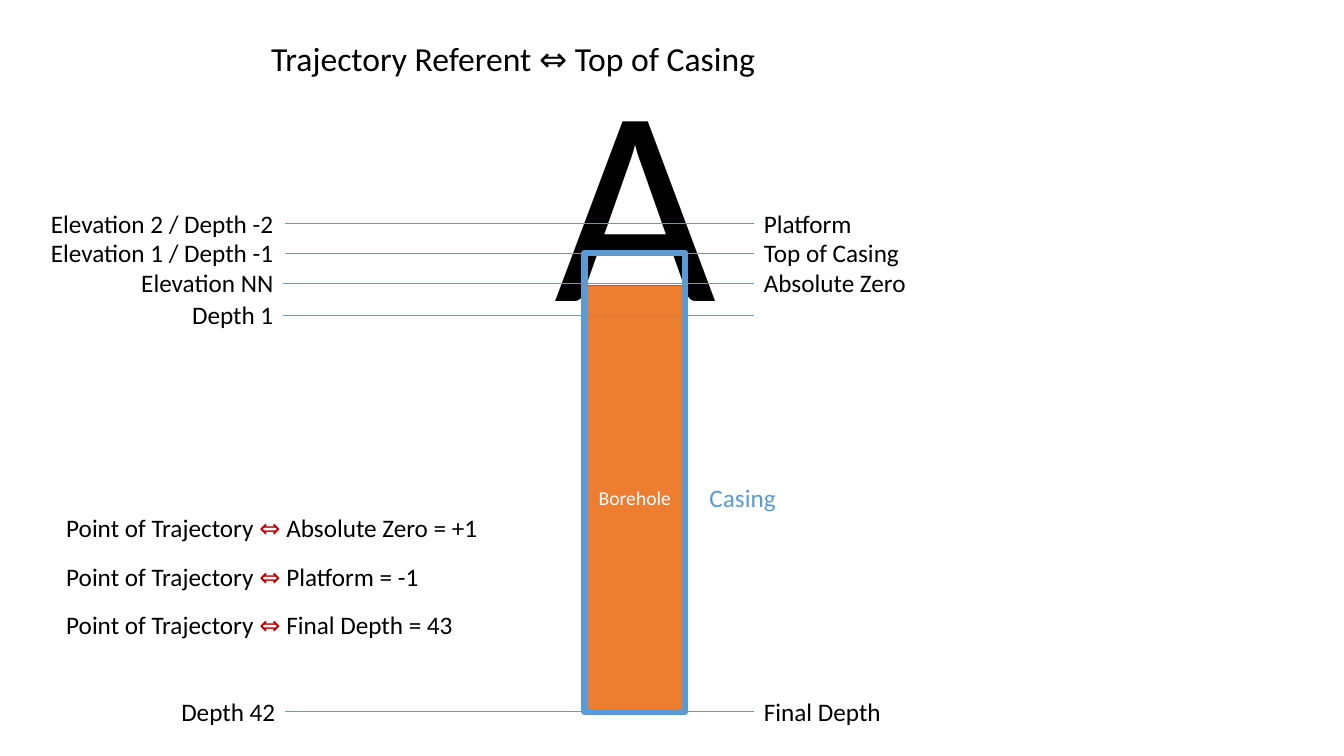
import dataclasses

import pptx
import pptx.dml.color
import pptx.enum.shapes
import pptx.enum.text
import pptx.oxml.ns
import pptx.util
from pptx.util import Cm

ALIGN = pptx.enum.text.PP_ALIGN
ANCHOR = pptx.enum.text.MSO_ANCHOR
RECTANGLE = pptx.enum.shapes.MSO_SHAPE.RECTANGLE
STRAIGHT = pptx.enum.shapes.MSO_CONNECTOR.STRAIGHT


@dataclasses.dataclass(frozen=True)
class Theme:
    """Colours, font and type sizes of the slide."""
    font: str = "Calibri"
    ink: str = "000000"
    white: str = "FFFFFF"
    casing: str = "5B9BD5"
    borehole: str = "ED7D31"
    borehole_edge: str = "AF5C24"
    accent: str = "C00000"
    small: int = 14
    body: int = 18
    title: int = 24
    derrick: int = 200


THEME = Theme()
LEVELS = [
    ("Elevation 2 / Depth -2", 6.2, 7.14, "Platform", 2.77, 7.19, 5.64),
    ("Elevation 1 / Depth -1", 6.2, 7.14, "Top of Casing", 3.96, 7.19, 6.38),
    ("Elevation NN", 3.89, 7.14, "Absolute Zero", 4.11, 7.14, 7.14),
    ("Depth 1", 2.59, 7.14, "", 0, 7.14, 7.95),
    ("Depth 42", 2.92, 7.19, "Final Depth", 3.51, 7.19, 17.93),
]
POINTS = [("Absolute Zero = +1", 11.13), ("Platform = -1", 9.75), ("Final Depth = 43", 10.52)]
LEVEL_END = 19
LABEL_RISE = 0.52
LABEL_HEIGHT = 1.03
POINT_TOP = 12.78
POINT_STEP = 1.23


def rgb(value):
    """Return a colour object for a hex string."""
    return pptx.dml.color.RGBColor.from_string(value)


def apply(target, values):
    """Set each attribute named in a dict of format values."""
    for name, value in values.items():
        setattr(target, name, value)


def write(box, spans, size=THEME.body, align=ALIGN.LEFT, anchor=ANCHOR.TOP):
    """Fill a box with one paragraph of (text, colour) spans."""
    apply(box.text_frame, {"word_wrap": False, "vertical_anchor": anchor})
    para = box.text_frame.paragraphs[0]
    para.alignment = align
    for text, colour in spans:
        span = para.add_run()
        span.text = text
        apply(span.font, {"name": THEME.font, "size": pptx.util.Pt(size)})
        span.font.color.rgb = rgb(colour)


def add_label(page, frame, spans, **formats):
    """Add a text box that grows with its text."""
    box = page.shapes.add_textbox(*map(Cm, frame))
    write(box, spans, **formats)
    box.text_frame.auto_size = pptx.enum.text.MSO_AUTO_SIZE.SHAPE_TO_FIT_TEXT


def add_block(page, frame, edge, width, fill=None):
    """Add an outlined rectangle, filled if a colour is given."""
    block = page.shapes.add_shape(RECTANGLE, *map(Cm, frame))
    block.shadow.inherit = False
    if fill:
        block.fill.solid()
        block.fill.fore_color.rgb = rgb(fill)
    else:
        block.fill.background()
    block.line.color.rgb = rgb(edge)
    block.line.width = pptx.util.Pt(width)
    return block


def add_level(page, left_text, left_width, left_edge, right_text, right_width, start, height):
    """Add a level line with its labels on both sides."""
    line = page.shapes.add_connector(STRAIGHT, *map(Cm, (start, height, LEVEL_END, height)))
    line.line.color.rgb = rgb(THEME.casing)
    line.line.width = pptx.util.Pt(0.5)
    properties = line._element.spPr
    properties.append(properties.makeelement(pptx.oxml.ns.qn("a:effectLst")))
    top = height - LABEL_RISE
    add_label(page, (left_edge - left_width, top, left_width, LABEL_HEIGHT),
              [(left_text, THEME.ink)], align=ALIGN.RIGHT)
    if right_text:
        add_label(page, (LEVEL_END, top, right_width, LABEL_HEIGHT), [(right_text, THEME.ink)])


def add_title(page):
    """Place and format the title placeholder."""
    title = page.shapes.title
    apply(title, {"left": Cm(6.58), "top": Cm(0.84), "width": Cm(13.03), "height": Cm(1.28)})
    write(title, [("Trajectory Referent ⇔ Top of Casing", THEME.ink)], size=THEME.title)


def add_well(page):
    """Draw the derrick letter, the borehole and its casing."""
    add_label(page, (13.69, 0.41, 4.65, 8.81), [("A", THEME.ink)],
              size=THEME.derrick, align=ALIGN.CENTER)
    borehole = add_block(page, (14.73, 7.19, 2.54, 10.72), THEME.borehole_edge, 1, THEME.borehole)
    write(borehole, [("Borehole", THEME.white)], size=THEME.small,
          align=ALIGN.CENTER, anchor=ANCHOR.MIDDLE)
    add_block(page, (14.73, 6.38, 2.54, 11.56), THEME.casing, 4.5)
    add_label(page, (17.63, 12.04, 2.21, LABEL_HEIGHT), [("Casing", THEME.casing)])


def add_points(page):
    """List the trajectory points at equal steps."""
    for index, (text, width) in enumerate(POINTS):
        add_label(page, (1.42, POINT_TOP + index * POINT_STEP, width, LABEL_HEIGHT),
                  [("Point of Trajectory ", THEME.ink), ("⇔ ", THEME.accent), (text, THEME.ink)])


def main():
    """Build and save the slide."""
    deck = pptx.Presentation()
    apply(deck, {"slide_width": Cm(33.87), "slide_height": Cm(19.05)})
    page = deck.slides.add_slide(deck.slide_layouts.get_by_name("Title Only"))
    add_title(page)
    add_well(page)
    for level in LEVELS:
        add_level(page, *level)
    add_points(page)
    deck.save("out.pptx")


main()
